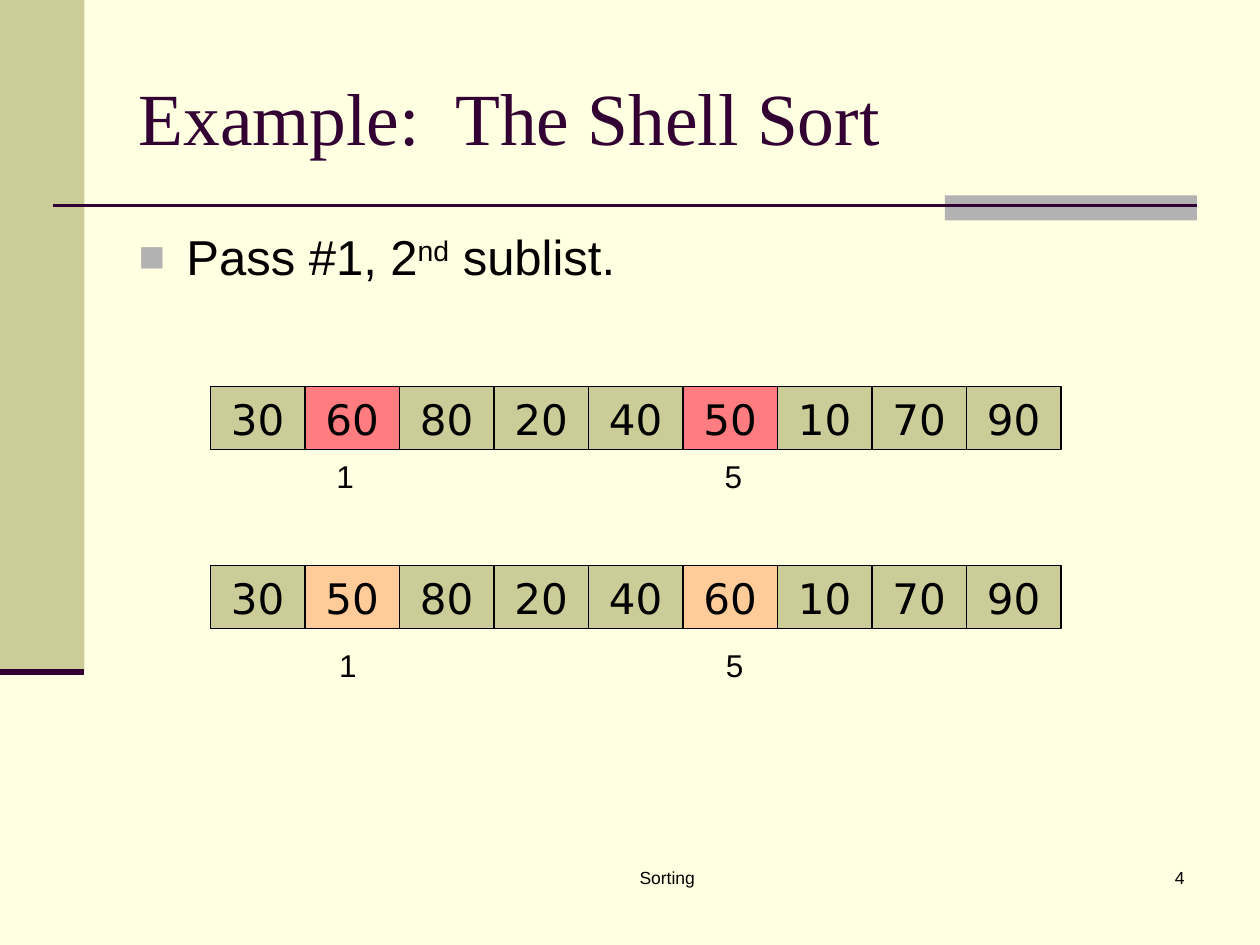
from lxml import etree
from pptx import Presentation
from pptx.dml.color import RGBColor
from pptx.enum import shapes, text
from pptx.oxml import ns
from pptx.util import Inches, Pt

CREAM = RGBColor(0xFF, 0xFF, 0xE1)
KHAKI = RGBColor(0xCC, 0xCC, 0x99)
GRAY = RGBColor(0xB2, 0xB2, 0xB2)
PLUM = RGBColor(0x33, 0x00, 0x33)
RED = RGBColor(0xFF, 0x7C, 0x80)
PEACH = RGBColor(0xFF, 0xCC, 0x99)
BLACK = RGBColor(0, 0, 0)

LEFT, CENTER, RIGHT = text.PP_ALIGN.LEFT, text.PP_ALIGN.CENTER, text.PP_ALIGN.RIGHT
TOP, MIDDLE = text.MSO_ANCHOR.TOP, text.MSO_ANCHOR.MIDDLE


def write(sp, words, size=18, font="Arial", color=BLACK, align=CENTER,
          anchor=TOP, wrap=True, raised=None):
    """Fill the first paragraph; the run equal to raised becomes superscript."""
    tf = sp.text_frame
    tf.auto_size = text.MSO_AUTO_SIZE.NONE
    tf.word_wrap = wrap
    tf.vertical_anchor = anchor
    p = tf.paragraphs[0]
    p.alignment = align
    for part in [words] if isinstance(words, str) else words:
        r = p.add_run()
        r.text = part
        r.font.size = Pt(size)
        r.font.name = font
        r.font.color.rgb = color
        if part == raised:
            r.font._element.set("baseline", "30000")
    return p


def add_rect(left, top, width, height, fill):
    sp = slide.shapes.add_shape(shapes.MSO_SHAPE.RECTANGLE, Inches(left),
                                Inches(top), Inches(width), Inches(height))
    sp.shadow.inherit = False
    sp.fill.solid()
    sp.fill.fore_color.rgb = fill
    sp.line.fill.background()
    return sp


prs = Presentation()
prs.slide_width, prs.slide_height = Inches(10), Inches(7.5)
slide = prs.slides.add_slide(prs.slide_layouts[1])
slide.background.fill.solid()
slide.background.fill.fore_color.rgb = CREAM

# Side band, accent bar and rules
add_rect(0, 0, 0.67, 5.33, KHAKI)
add_rect(7.5, 1.55, 2, 0.2, GRAY)
for x1, x2, y, weight in [(0.42, 9.5, 1.63, 1.5), (0, 0.67, 5.33, 3.5)]:
    rule = slide.shapes.add_connector(shapes.MSO_CONNECTOR.STRAIGHT, Inches(x1),
                                      Inches(y), Inches(x2), Inches(y))
    rule.line.color.rgb = PLUM
    rule.line.width = Pt(weight)
    etree.SubElement(rule._element.spPr, ns.qn("a:effectLst"))

# Title and bullet
title, body = slide.placeholders
title.left, title.top, title.width, title.height = map(Inches, (1, 0.3, 8.5, 1.25))
write(title, "Example:  The Shell Sort", size=42, font="Times New Roman",
      color=PLUM, align=LEFT, anchor=MIDDLE)

body.left, body.top, body.width, body.height = map(Inches, (1, 1.75, 8.5, 4.95))
p = write(body, ["Pass #1, 2", "nd", " sublist."], size=28, align=LEFT, raised="nd")
p.space_before = Pt(7)
pPr = p._p.get_or_add_pPr()
pPr.set("marL", str(Inches(0.38)))
pPr.set("indent", str(-Inches(0.38)))
bullet_color = etree.SubElement(pPr, ns.qn("a:buClr"))
etree.SubElement(bullet_color, ns.qn("a:srgbClr"), val=str(GRAY))
etree.SubElement(pPr, ns.qn("a:buSzPct"), val="90000")
etree.SubElement(pPr, ns.qn("a:buFont"), typeface="Arial")
etree.SubElement(pPr, ns.qn("a:buChar"), char="■")

# The list before and after sorting the sublist at indexes 1 and 5
CELL_W, CELL_H, ROW_LEFT = 0.75, 0.5, 1.67
SUBLIST = (1, 5)
rows = [
    (3.07, [30, 60, 80, 20, 40, 50, 10, 70, 90], RED),
    (4.49, [30, 50, 80, 20, 40, 60, 10, 70, 90], PEACH),
]
for top, values, highlight in rows:
    for i, value in enumerate(values):
        cell = add_rect(ROW_LEFT + i * CELL_W, top, CELL_W, CELL_H,
                        highlight if i in SUBLIST else KHAKI)
        cell.line.color.rgb = BLACK
        cell.line.width = Pt(0.75)
        write(cell, str(value), size=24, font="DejaVu Sans", anchor=MIDDLE)

# Index labels and footer
labels = [
    ("1", 2.57, 3.58, 0.34, 0.4, dict(wrap=False)),
    ("5", 5.65, 3.58, 0.34, 0.4, dict(wrap=False)),
    ("1", 2.59, 5.08, 0.34, 0.4, dict(wrap=False)),
    ("5", 5.66, 5.08, 0.34, 0.4, dict(wrap=False)),
    ("Sorting", 3.67, 6.83, 3.25, 0.5, dict(size=10)),
    ("4", 7.42, 6.83, 2.08, 0.5, dict(size=10, align=RIGHT)),
]
for words, left, top, width, height, style in labels:
    box = slide.shapes.add_textbox(Inches(left), Inches(top),
                                   Inches(width), Inches(height))
    write(box, words, **style)

prs.save("out.pptx")
